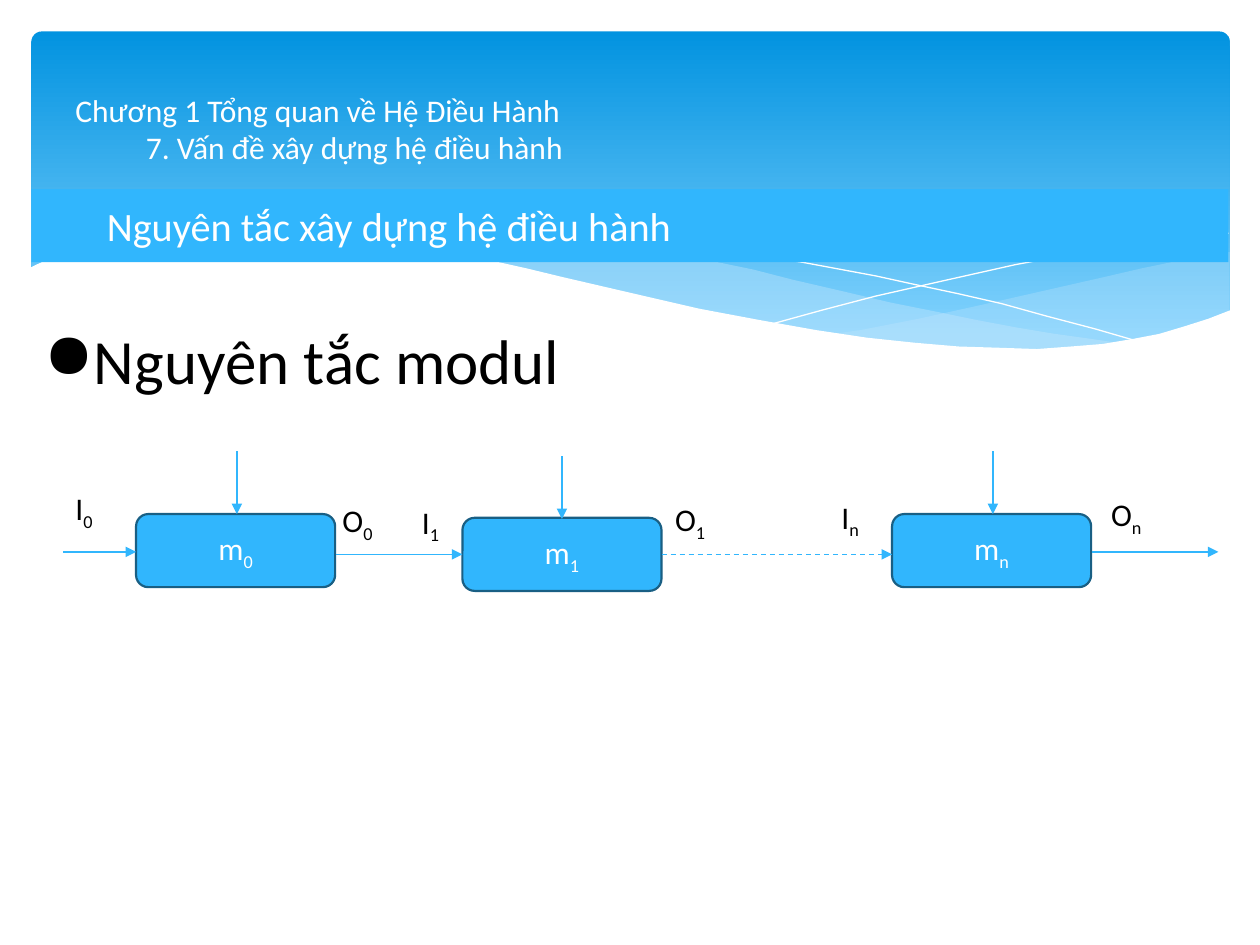
from lxml import etree
from pptx import Presentation
from pptx.dml.color import RGBColor
from pptx.enum.dml import MSO_LINE
from pptx.enum.shapes import MSO_CONNECTOR, MSO_SHAPE
from pptx.enum.text import MSO_ANCHOR, PP_ALIGN
from pptx.oxml.ns import qn
from pptx.util import Pt

PX = 9144
FONT = "Calibri"
WHITE = RGBColor(0xFF, 0xFF, 0xFF)
BLACK = RGBColor(0, 0, 0)
SKY = RGBColor(0x31, 0xB6, 0xFD)
NAVY = RGBColor(0x19, 0x5F, 0x84)
DEEP = RGBColor(0x02, 0x93, 0xE0)
PALE = RGBColor(0x83, 0xD3, 0xFE)
MIST = RGBColor(0xC6, 0xE7, 0xFC)
DASH = MSO_LINE.DASH
TOP, MIDDLE = MSO_ANCHOR.TOP, MSO_ANCHOR.MIDDLE
LEFT, CENTER = PP_ALIGN.LEFT, PP_ALIGN.CENTER
RECTANGLE, ROUNDED = MSO_SHAPE.RECTANGLE, MSO_SHAPE.ROUNDED_RECTANGLE
STRAIGHT = MSO_CONNECTOR.STRAIGHT

TITLE = [("Chương 1 Tổng quan về Hệ Điều Hành", 0),
         ("7. Vấn đề xây dựng hệ điều hành", 56)]
SUBTITLE = "Nguyên tắc xây dựng hệ điều hành"
HEADING = "Nguyên tắc modul"

MODULE_SIZE = (158, 58)
MODULES = [("m", "0", 108, 408), ("m", "1", 367, 411), ("m", "n", 708, 408)]
LABELS = [("O", "0", 262, 393), ("I", "1", 325, 394), ("O", "1", 526, 392),
          ("I", "n", 658, 390), ("O", "n", 872, 388), ("I", "0", 50, 383)]
FLOWS = [(50, 108, 438, None), (267, 367, 440, None),
         (525, 708, 440, DASH), (867, 967, 438, None)]
INPUTS = [(188, 358), (446, 362), (788, 358)]
INPUT_LENGTH = 50

RIGHT_WAVE = [
    (976, 200), (962, 202), (935, 207), (906, 213), (876, 220), (832, 230),
    (779, 242), (729, 253), (683, 262), (661, 265), (691, 269), (719, 272),
    (745, 275), (769, 277), (803, 278), (835, 277), (863, 275), (889, 272),
    (913, 267), (935, 262), (949, 257), (963, 252), (976, 247)]
WIDE_WAVE = [
    (893, 273), (866, 269), (837, 265), (807, 260), (775, 254), (741, 247),
    (706, 240), (668, 231), (629, 222), (598, 214), (569, 208), (541, 203),
    (514, 198), (489, 194), (465, 191), (442, 189), (420, 187), (380, 185),
    (344, 186), (313, 188), (286, 191), (323, 196), (362, 203), (404, 211),
    (449, 222), (491, 232), (530, 240), (566, 248), (601, 255), (634, 261),
    (665, 266), (695, 270), (722, 274), (748, 276), (773, 277), (807, 278),
    (838, 278), (867, 276)]
FALLING_LINE = [
    (309, 195), (328, 192), (353, 189), (387, 187), (416, 187), (450, 188),
    (489, 190), (533, 194), (582, 200), (636, 208), (695, 219), (727, 226),
    (760, 233), (795, 241), (831, 251), (869, 261), (907, 272)]
RISING_LINE = [
    (613, 257), (653, 246), (695, 235), (748, 223), (806, 210), (866, 199),
    (895, 194), (924, 190), (951, 187), (975, 185)]
WHITE_COVER = [
    (977, 246), (959, 253), (940, 259), (920, 265), (899, 269), (875, 273),
    (850, 275), (823, 277), (793, 276), (761, 275), (726, 272), (688, 268),
    (648, 262), (603, 254), (555, 245), (503, 233), (447, 220), (418, 213),
    (391, 207), (365, 202), (340, 197), (316, 194), (292, 190), (271, 188),
    (250, 186), (230, 185), (193, 184), (161, 184), (132, 186), (106, 189),
    (85, 193), (67, 197), (52, 201), (40, 205), (29, 210), (23, 213),
    (23, 329), (977, 329)]
WAVES = [(RIGHT_WAVE, MIST, 29), (WIDE_WAVE, MIST, 40),
         (FALLING_LINE, None, 100), (RISING_LINE, None, 100),
         (WHITE_COVER, WHITE, 100)]

deck = Presentation()
deck.slide_width, deck.slide_height = 1000 * PX, 750 * PX
page = deck.slides.add_slide(deck.slide_layouts[6])


def scaled(*lengths):
    return [length * PX for length in lengths]


def add_box(kind, place, fill=None, outline=None):
    box = page.shapes.add_shape(kind, *scaled(*place))
    box.shadow.inherit = False
    if fill is not None:
        box.fill.solid()
        box.fill.fore_color.rgb = fill
    if outline is None:
        box.line.fill.background()
    else:
        box.line.color.rgb = outline
        box.line.width = Pt(1.25)
    return box


def add_text_box(place):
    return page.shapes.add_textbox(*scaled(*place))


def write(box, lines, size=18, color=BLACK, anchor=TOP, align=LEFT,
          subscript="", hanging=0, bullet=None):
    frame = box.text_frame
    frame.word_wrap = True
    frame.vertical_anchor = anchor
    for index, (text, indent) in enumerate(lines):
        para = frame.add_paragraph() if index else frame.paragraphs[0]
        para.alignment = align
        properties = para._p.get_or_add_pPr()
        properties.set("marL", str(indent * PX))
        properties.set("indent", str(-hanging * PX))
        if bullet:
            etree.SubElement(properties, qn("a:buChar")).set("char", bullet)
        for part, shift in ((text, 0), (subscript, -25000)):
            if not part:
                continue
            span = para.add_run()
            span.text = part
            span.font.name = FONT
            span.font.size = Pt(size)
            span.font.color.rgb = color
            if shift:
                span._r.get_or_add_rPr().set("baseline", str(shift))


def add_wave(points, fill, opacity):
    builder = page.shapes.build_freeform(*points[0], scale=PX)
    builder.add_line_segments(points[1:], close=fill is not None)
    wave = builder.convert_to_shape()
    wave.shadow.inherit = False
    if fill is None:
        wave.fill.background()
        wave.line.color.rgb = WHITE
        wave.line.width = Pt(0)
        return
    wave.fill.solid()
    wave.fill.fore_color.rgb = fill
    wave.line.fill.background()
    if opacity < 100:
        tint = wave._element.spPr.find(qn("a:solidFill"))[0]
        etree.SubElement(tint, qn("a:alpha")).set("val", str(opacity * 1000))


def add_arrow(start, end, dash=None):
    arrow = page.shapes.add_connector(STRAIGHT, *scaled(*start, *end))
    arrow.line.color.rgb = SKY
    arrow.line.width = Pt(0.75)
    if dash is not None:
        arrow.line.dash_style = dash
    outline = arrow.line._get_or_add_ln()
    etree.SubElement(outline, qn("a:tailEnd")).set("type", "triangle")
    etree.SubElement(arrow._element.spPr, qn("a:effectLst"))


banner = add_box(ROUNDED, (25, 25, 951, 270))
banner.adjustments[0] = 0.03
banner.fill.gradient()
banner.fill.gradient_angle = 270
for stop, color, position in zip(banner.fill.gradient_stops, (DEEP, PALE), (0, 0.9)):
    stop.color.rgb = color
    stop.position = position
for wave in WAVES:
    add_wave(*wave)

write(add_text_box((50, 37, 900, 130)), TITLE, color=WHITE, anchor=MIDDLE)
write(add_box(RECTANGLE, (25, 150, 950, 58), SKY), [(SUBTITLE, 50)],
      size=23, color=WHITE, anchor=MIDDLE)
write(add_text_box((25, 250, 958, 71)), [(HEADING, 31)],
      size=36, hanging=31, bullet="●")

for name, number, left, top in MODULES:
    write(add_box(ROUNDED, (left, top, *MODULE_SIZE), SKY, NAVY), [(name, 0)],
          color=WHITE, anchor=MIDDLE, align=CENTER, subscript=number)
for left, right, level, dash in FLOWS:
    add_arrow((left, level), (right, level), dash)
for name, number, left, top in LABELS:
    write(add_text_box((left, top, 50, 40)), [(name, 0)], subscript=number)
for across, top in INPUTS:
    add_arrow((across, top), (across, top + INPUT_LENGTH))

deck.save("out.pptx")
